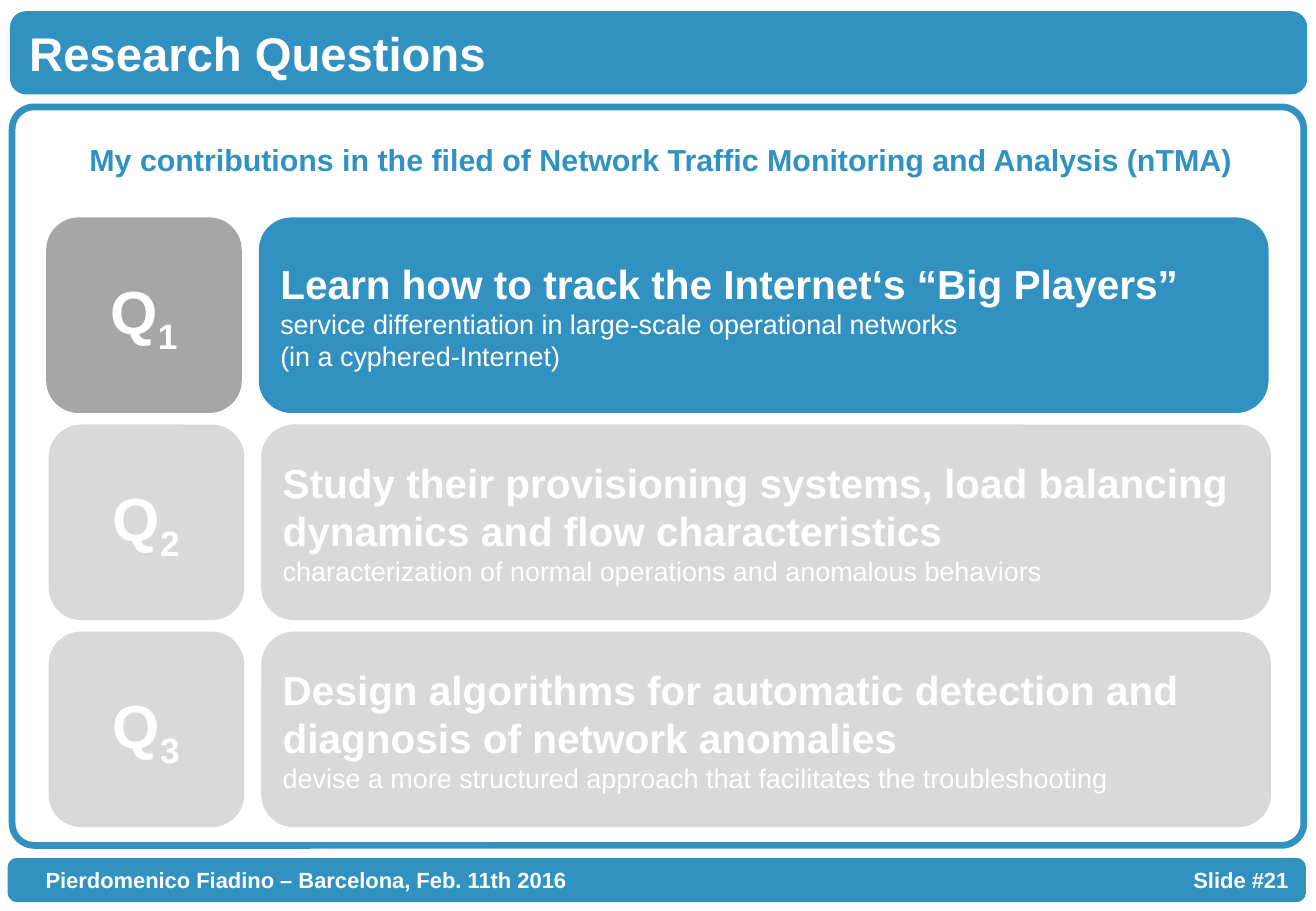
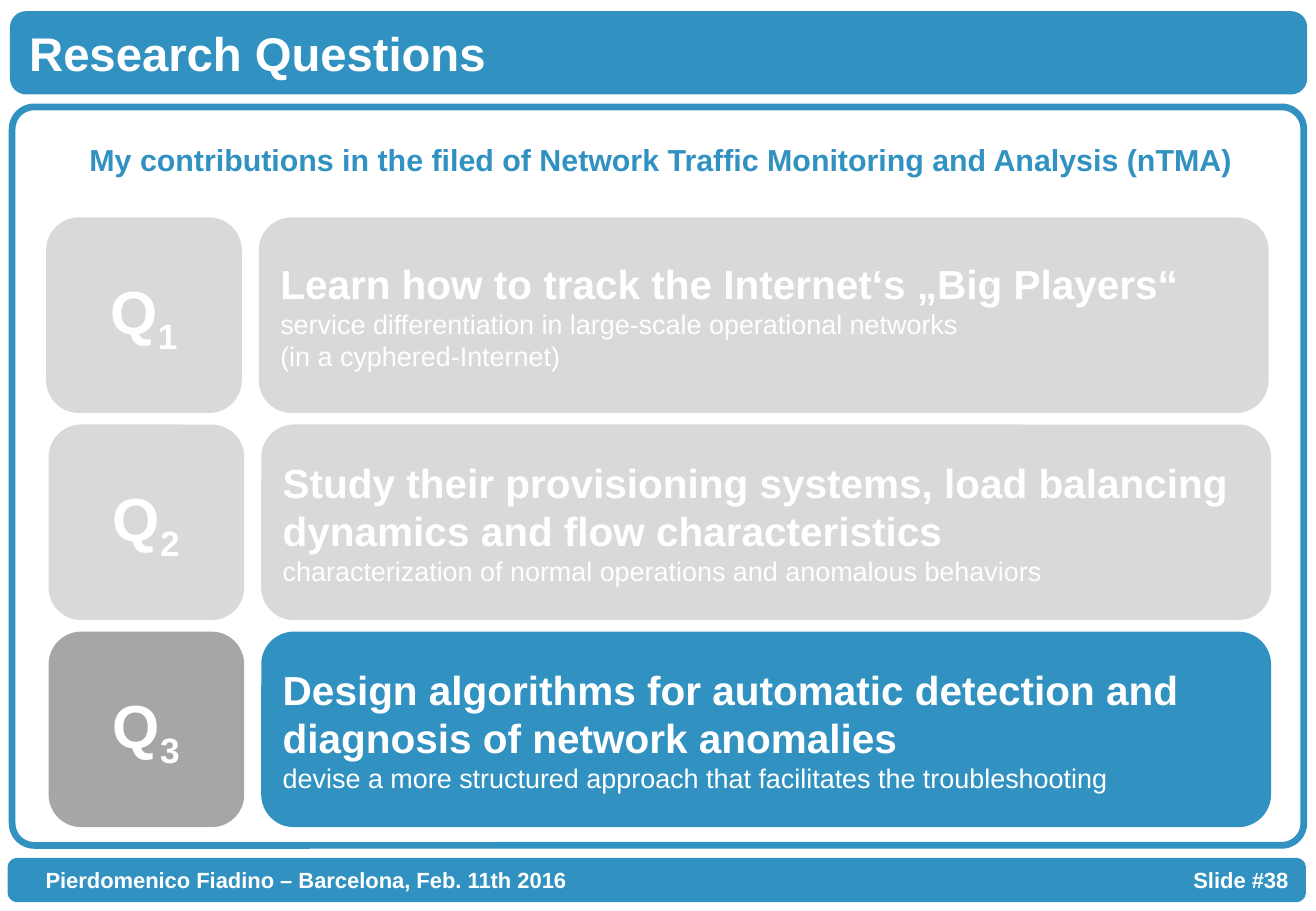
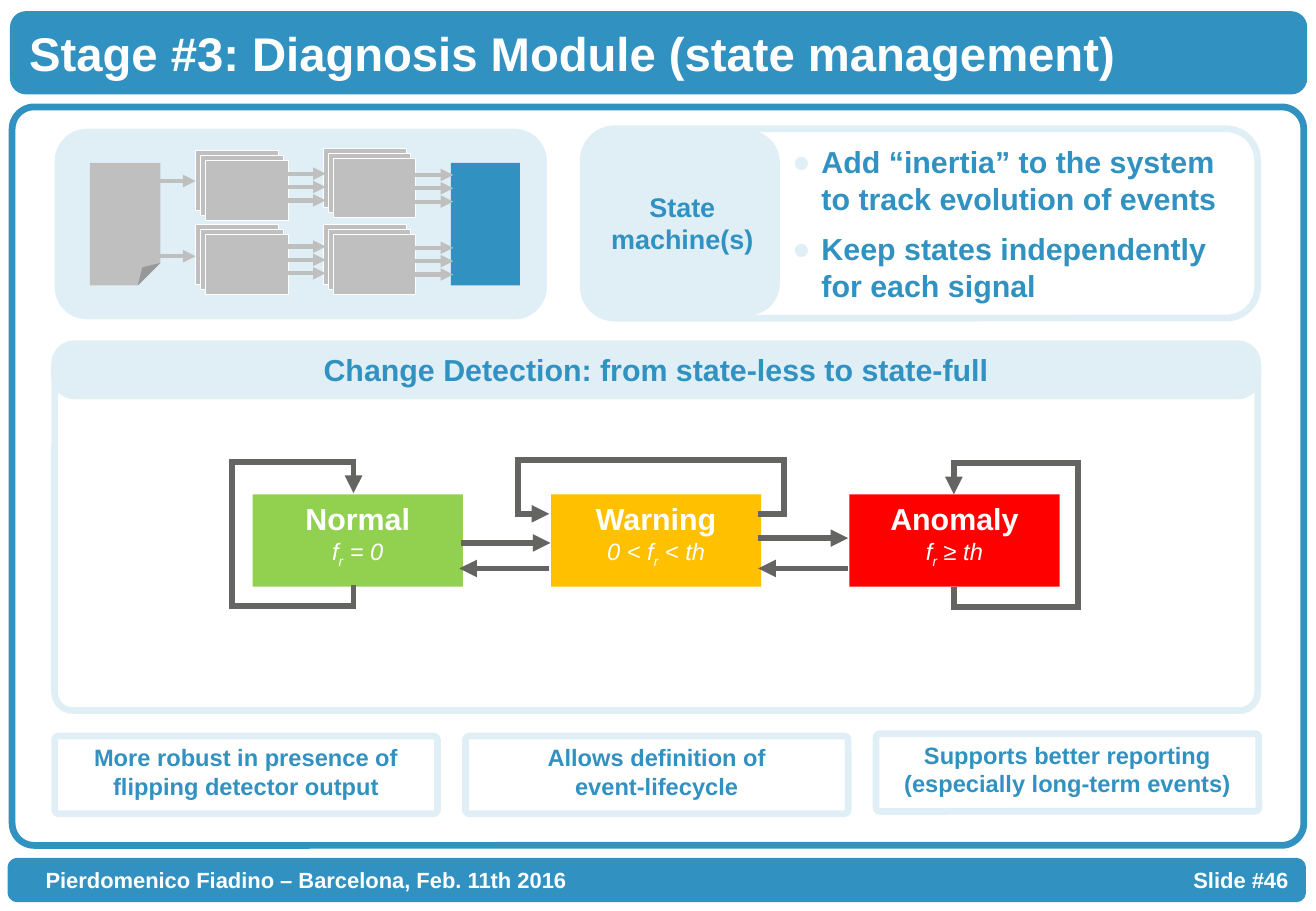
"""Build three slides on research questions and the diagnosis module."""
from lxml import etree
from pptx import Presentation
from pptx import util as u
from pptx.dml.color import RGBColor
from pptx.enum import shapes, text
from pptx.oxml import ns

FONT = "Arial"
BLUE, PALE, WHITE = "3192C1", "E0EFF6", "FFFFFF"
DARK, SILVER, MIST, SLATE = "A6A6A6", "BFBFBF", "D9D9D9", "646462"
ROUND, RECT = shapes.MSO_SHAPE.ROUNDED_RECTANGLE, shapes.MSO_SHAPE.RECTANGLE
FOLDED = shapes.MSO_SHAPE.FOLDED_CORNER
LEFT, CENTER, RIGHT = text.PP_ALIGN.LEFT, text.PP_ALIGN.CENTER, text.PP_ALIGN.RIGHT
TOP, MIDDLE = text.MSO_ANCHOR.TOP, text.MSO_ANCHOR.MIDDLE

TITLE = dict(size=28, bold=True, color=WHITE)
FOOTER = dict(size=13, bold=True, color=WHITE)
HEADING = dict(size=18, bold=True, color=BLUE)
LABEL = dict(size=16, bold=True, color=BLUE)
BENEFIT = dict(size=14, bold=True, color=BLUE)
QUESTION_NUMBER = dict(size=36, bold=True, color=WHITE)
QUESTION = dict(size=24, bold=True, color=WHITE)
DETAIL = dict(size=16, bold=False, color=WHITE)
STATE = dict(size=18, bold=True, color=WHITE)
CONDITION = dict(size=14, italic=True, bold=False, color=WHITE)

AUTHOR = "Pierdomenico Fiadino – Barcelona, Feb. 11th 2016"
CONTRIBUTIONS = "My contributions in the filed of Network Traffic Monitoring and Analysis (nTMA)"
QUESTIONS = [
    (0.38, "Learn how to track the Internet‘s {}",
     ["service differentiation in large-scale operational networks",
      "(in a cyphered-Internet)"]),
    (0.4, "Study their provisioning systems, load balancing dynamics and flow characteristics",
     ["characterization of normal operations and anomalous behaviors"]),
    (0.4, "Design algorithms for automatic detection and diagnosis of network anomalies",
     ["devise a more structured approach that facilitates the troubleshooting"]),
]
QUESTION_SLIDES = [(21, 0, "“Big Players”"), (38, 2, "„Big Players“")]
INERTIA = ["Add “inertia” to the system to track evolution of events",
           "Keep states independently for each signal"]
STATES = [("Normal", "f_r = 0", "92D050"),
          ("Warning", "0 < f_r < th", "FFC000"),
          ("Anomaly", "f_r ≥ th", "FF0000")]
BENEFITS = [(6.06, ["More robust in presence of flipping detector output"]),
            (6.06, ["Allows definition of", "event-lifecycle"]),
            (6.04, ["Supports better reporting", "(especially long-term events)"])]
STACKS = [(1.61, 1.24), (1.61, 1.85), (2.66, 1.22), (2.66, 1.85)]
FLOWS = [(1.29, 1.49, 1), (1.29, 2.11, 1), (2.36, 1.43, 3),
         (2.36, 2.03, 3), (3.41, 1.44, 3), (3.41, 2.04, 3)]
TRANSITIONS = [(3.79, 4.53, 4.47), (6.24, 6.98, 4.43), (4.52, 3.78, 4.68), (6.98, 6.24, 4.68)]
LOOPS = [
    [(2.91, 4.82), (2.91, 4.99), (1.91, 4.99), (1.91, 3.8), (2.91, 3.8), (2.91, 4.06)],
    [(6.24, 4.23), (6.45, 4.23), (6.45, 3.79), (4.26, 3.79), (4.26, 4.23), (4.52, 4.23)],
    [(7.85, 4.83), (7.85, 5), (8.87, 5), (8.87, 3.81), (7.85, 3.81), (7.85, 4.07)],
]


def rgb(value):
    return RGBColor.from_string(value)


def child(parent, tag, **attributes):
    node = etree.SubElement(parent, ns.qn("a:" + tag))
    for key, value in attributes.items():
        node.set(key, value)
    return node


def add_run(paragraph, words, style, subscript=False):
    if not words:
        return
    run = paragraph.add_run()
    run.text = words
    run.font.name = FONT
    run.font.color.rgb = rgb(style["color"])
    for key, value in style.items():
        if key != "color":
            setattr(run.font, key, u.Pt(value) if key == "size" else value)
    if subscript:
        run.font._element.set("baseline", "-25000")


def write(shape, lines, align=LEFT, anchor=MIDDLE, gap=0):
    """Write (words, style) lines; an underscore lowers the next letter."""
    frame = shape.text_frame
    for key, value in dict(word_wrap=True, vertical_anchor=anchor,
                           auto_size=text.MSO_AUTO_SIZE.NONE).items():
        setattr(frame, key, value)
    for i, (words, style) in enumerate(lines):
        paragraph = frame.paragraphs[0] if i == 0 else frame.add_paragraph()
        paragraph.alignment = align
        paragraph.space_before = u.Pt(gap if i else 0)
        plain, *lowered = words.split("_")
        add_run(paragraph, plain, style)
        for part in lowered:
            add_run(paragraph, part[0], style, subscript=True)
            add_run(paragraph, part[1:], style)


def place(shape, *box):
    for side, value in zip(("left", "top", "width", "height"), box):
        setattr(shape, side, u.Inches(value))


def add_block(slide, kind, box, fill=None, line=None, width=4, corner=None):
    shape = slide.shapes.add_shape(kind, *map(u.Inches, box))
    shape.shadow.inherit = False
    if fill:
        shape.fill.solid()
        shape.fill.fore_color.rgb = rgb(fill)
    else:
        shape.fill.background()
    if line:
        shape.line.color.rgb = rgb(line)
        shape.line.width = u.Pt(width)
    else:
        shape.line.fill.background()
    if corner:
        geometry = shape._element.spPr.find(ns.qn("a:prstGeom"))
        for guides in geometry.findall(ns.qn("a:avLst")):
            geometry.remove(guides)
        child(child(geometry, "avLst"), "gd", name="adj", fmla=f"val {round(corner * 100000)}")
    return shape


def add_arrow(slide, points, color, width):
    points = [(u.Inches(x), u.Inches(y)) for x, y in points]
    if len(points) == 2:
        arrow = slide.shapes.add_connector(shapes.MSO_CONNECTOR.STRAIGHT, *points[0], *points[1])
    else:
        builder = slide.shapes.build_freeform(*points[0], scale=1.0)
        builder.add_line_segments(points[1:], close=False)
        arrow = builder.convert_to_shape()
        arrow.fill.background()
    arrow.line.color.rgb = rgb(color)
    arrow.line.width = u.Pt(width)
    properties = arrow._element.spPr
    outline = properties.get_or_add_ln()
    child(outline, "miter", lim="800000")
    child(outline, "tailEnd", type="triangle")
    child(properties, "effectLst")


def set_bullets(shape, color=None, indent=0):
    for paragraph in shape.text_frame.paragraphs:
        properties = paragraph._p.get_or_add_pPr()
        properties.set("marL", str(u.Inches(indent)))
        properties.set("indent", str(-u.Inches(indent)))
        if color:
            child(child(properties, "buClr"), "srgbClr", val=color)
            child(properties, "buFont", typeface=FONT)
            child(properties, "buChar", char="●")
        else:
            child(properties, "buNone")


def move_frame_to_layout(layout, slide):
    """Draw the bands and the content frame once, on the layout."""
    for placeholder in list(layout.placeholders):
        if placeholder.placeholder_format.idx > 1:
            placeholder._element.getparent().remove(placeholder._element)
    header = add_block(slide, ROUND, (0.11, 0.12, 10.62, 0.63), BLUE, BLUE)
    frame = add_block(slide, ROUND, (0.1, 0.88, 10.63, 6.08), None, BLUE, corner=0.03)
    footer = add_block(slide, ROUND, (0.09, 7.09, 10.63, 0.31), BLUE, BLUE)
    footer.text_frame.margin_left = u.Inches(0.27)
    write(footer, [(AUTHOR, FOOTER)])
    for part in (header, frame, footer):
        layout.shapes._spTree.append(part._element)


def add_page(prs, title, number):
    layout = prs.slide_layouts[1]
    slide = prs.slides.add_slide(layout)
    if len(prs.slides) == 1:
        move_frame_to_layout(layout, slide)
    place(slide.shapes.title, 0.14, 0.12, 10.56, 0.63)
    write(slide.shapes.title, [(title, TITLE)])
    page_number = slide.shapes.add_textbox(*map(u.Inches, (8.7, 7.09, 2, 0.31)))
    write(page_number, [(f"Slide #{number}", FOOTER)], RIGHT)
    return slide, slide.placeholders[1]


def add_questions(prs, number, active, players):
    slide, subtitle = add_page(prs, "Research Questions", number)
    place(subtitle, 0.42, 1.11, 10.04, 0.4)
    write(subtitle, [(CONTRIBUTIONS, HEADING)], CENTER, TOP)
    set_bullets(subtitle)
    side = 1.61
    for i, (left, question, details) in enumerate(QUESTIONS):
        top = 1.79 + 1.705 * i
        tile_color, panel_color = (DARK, BLUE) if i == active else (MIST, MIST)
        panel = add_block(slide, ROUND, (left + 1.75, top, 8.31, side), panel_color)
        write(panel, [(question.format(players), QUESTION)] + [(d, DETAIL) for d in details])
        tile = add_block(slide, ROUND, (left, top, side, side), tile_color)
        write(tile, [(f"Q_{i + 1}", QUESTION_NUMBER)], CENTER)


def add_pipeline(slide):
    add_block(slide, ROUND, (0.45, 1.06, 4.05, 1.57), PALE, corner=0.17)
    for left, top in STACKS:
        for shift in (0, 0.04, 0.08):
            add_block(slide, RECT, (left + shift, top + shift, 0.68, 0.49), SILVER, WHITE, 0.25)
    add_block(slide, FOLDED, (0.74, 1.34, 0.58, 1.01), SILVER, corner=0.32)
    add_block(slide, RECT, (3.71, 1.34, 0.57, 1.01), BLUE)
    for left, top, count in FLOWS:
        for i in range(count):
            y = top + 0.11 * i
            add_arrow(slide, [(left, y), (left + 0.32, y)], SILVER, 2.5)


def add_diagnosis(prs):
    slide, inertia = add_page(prs, "Stage #3: Diagnosis Module (state management)", 46)
    add_pipeline(slide)
    add_block(slide, ROUND, (4.8, 1.06, 5.55, 1.56), None, PALE)
    place(inertia, 6.42, 1.13, 3.9, 1.4)
    write(inertia, [(point, HEADING) for point in INERTIA], LEFT, TOP, gap=8.5)
    set_bullets(inertia, PALE, 0.24)
    machine = add_block(slide, ROUND, (4.84, 1.1, 1.55, 1.47), PALE, PALE, corner=0.16)
    write(machine, [("State machine(s)", LABEL)], CENTER)

    heading = add_block(slide, ROUND, (0.45, 2.83, 9.9, 0.43), PALE, PALE, corner=0.38)
    write(heading, [("Change Detection: from state-less to state-full", HEADING)], CENTER)
    add_block(slide, ROUND, (0.45, 2.86, 9.9, 2.99), None, PALE, corner=0.05)
    for i, (name, condition, color) in enumerate(STATES):
        state = add_block(slide, RECT, (2.08 + 2.455 * i, 4.07, 1.73, 0.76), color)
        write(state, [(name, STATE), (condition, CONDITION)], CENTER, TOP)
    for start, end, y in TRANSITIONS:
        add_arrow(slide, [(start, y), (end, y)], SLATE, 3.5)
    for loop in LOOPS:
        add_arrow(slide, loop, SLATE, 3.5)
    for i, (top, lines) in enumerate(BENEFITS):
        benefit = add_block(slide, ROUND, (0.45 + 3.38 * i, top, 3.15, 0.64), None, PALE, corner=0.05)
        write(benefit, [(line, BENEFIT) for line in lines], CENTER, TOP)


def main():
    prs = Presentation()
    prs.slide_width, prs.slide_height = u.Inches(10.83), u.Inches(7.5)
    for number, active, players in QUESTION_SLIDES:
        add_questions(prs, number, active, players)
    add_diagnosis(prs)
    prs.save("out.pptx")


if __name__ == "__main__":
    main()
